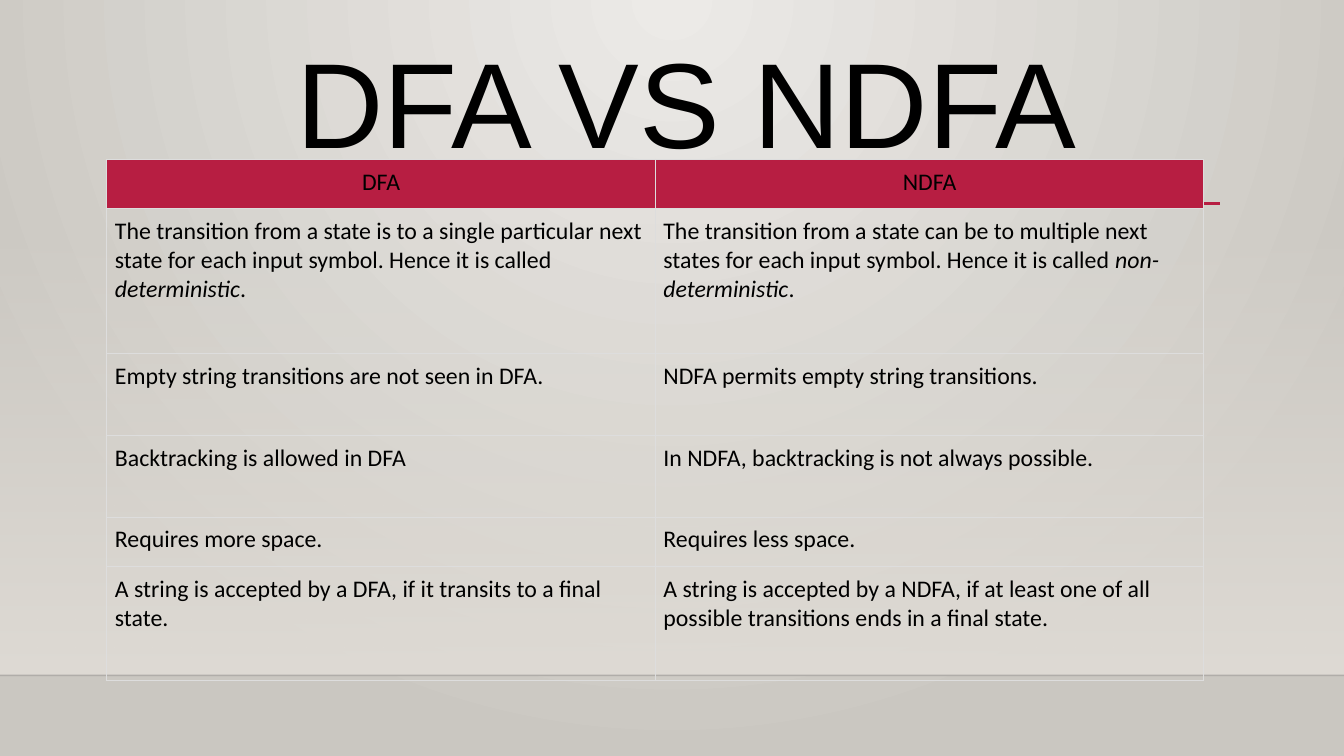
from lxml import etree
from pptx import Presentation
from pptx.dml.color import RGBColor
from pptx.enum.shapes import MSO_CONNECTOR as Conn, MSO_SHAPE as Shape
from pptx.enum.text import MSO_ANCHOR as Anchor, MSO_AUTO_SIZE as Auto, PP_ALIGN as Align
from pptx.oxml import parse_xml
from pptx.oxml.ns import qn
from pptx.util import Inches, Pt

# Content: each cell is a list of (text, italic) runs
TITLE = "DFA VS NDFA"
HEAD = ["DFA", "NDFA"]
ROWS = [
    ([("The transition from a state is to a single particular next state for each "
       "input symbol. Hence it is called ", False), ("deterministic", True), (".", False)],
     [("The transition from a state can be to multiple next states for each "
       "input symbol. Hence it is called ", False), ("non-deterministic", True), (".", False)]),
    ([("Empty string transitions are not seen in DFA.", False)],
     [("NDFA permits empty string transitions.", False)]),
    ([("Backtracking is allowed in DFA", False)],
     [("In NDFA, backtracking is not always possible.", False)]),
    ([("Requires more space.", False)],
     [("Requires less space.", False)]),
    ([("A string is accepted by a DFA, if it transits to a final state.", False)],
     [("A string is accepted by a NDFA, if at least one of all possible transitions "
       "ends in a final state.", False)]),
]
HIGH = [0.49, 1.44, 0.81, 0.81, 0.49, 1.13]

# Measures and colours
WIDE, TALL = 13.33, 7.5
LEFT, TOP, COL, PAD = 1.06, 1.58, 5.44, 0.08
FLOOR, WALL, RULE = 6.7, 2.21, 2.02
BLACK = RGBColor(0, 0, 0)
RED = RGBColor(0xB7, 0x1E, 0x42)
LIGHT = RGBColor(0xEC, 0xEA, 0xE7)
DARK = RGBColor(0xCA, 0xC7, 0xC1)
SAND = RGBColor(0xDF, 0xDB, 0xD5)
EDGE = RGBColor(0xDD, 0xDD, 0xDD)
NS = 'xmlns:a="http://schemas.openxmlformats.org/drawingml/2006/main"'


def write(frame, runs, size=17, font="Calibri", align=Align.LEFT, lead=1.0):
    par = frame.paragraphs[0]
    par.alignment, par.line_spacing = align, lead
    for text, slant in runs:
        run = par.add_run()
        run.text = text
        run.font.size, run.font.name = Pt(size), font
        run.font.italic, run.font.bold = slant, False
        run.font.color.rgb = BLACK


def blend(fill, first, last, root, shape):
    """Two-stop gradient whose direction is the given XML."""
    fill.gradient()
    for stop, tone in zip(fill.gradient_stops, (first, last)):
        stop.color.rgb = tone
    grad = next(root.iter(qn("a:gradFill")))
    for old in grad.findall(qn("a:lin")):
        grad.remove(old)
    grad.find(qn("a:gsLst")).addnext(parse_xml(shape))
    return grad


def fade(node, share):
    tone = next(node.iter(qn("a:srgbClr")))
    etree.SubElement(tone, qn("a:alpha")).set("val", str(share * 1000))


def rule(x1, x2, y, tone, width):
    line = slide.shapes.add_connector(
        Conn.STRAIGHT, Inches(x1), Inches(y), Inches(x2), Inches(y))
    line.line.color.rgb, line.line.width = tone, Pt(width)
    etree.SubElement(line._element.spPr, qn("a:effectLst"))
    return line


def border(cell):
    props = cell._tc.get_or_add_tcPr()
    for side in "LRTB":
        props.append(parse_xml(
            f'<a:ln{side} {NS} w="{Pt(0.75)}"><a:solidFill><a:srgbClr val="{EDGE}"/>'
            f'</a:solidFill></a:ln{side}>'))


deck = Presentation()
deck.slide_width, deck.slide_height = Inches(WIDE), Inches(TALL)
slide = deck.slides.add_slide(deck.slide_layouts[5])

# Backdrop: glow from the top centre, wall fading in, floor edge
back = slide.background
blend(back.fill, LIGHT, DARK, slide._element,
      f'<a:path {NS} path="circle"><a:fillToRect l="43000" t="0" r="43000" b="100000"/></a:path>')
wall = slide.shapes.add_shape(
    Shape.RECTANGLE, 0, Inches(WALL), Inches(WIDE), Inches(FLOOR - WALL))
wall.shadow.inherit = False
wall.line.fill.background()
grad = blend(wall.fill, SAND, SAND, wall._element, f'<a:lin {NS} ang="5400000" scaled="0"/>')
fade(grad, 0)
edge = rule(0, WIDE, FLOOR, RGBColor(0, 0, 1), 1)
fade(edge._element.spPr, 20)
rule(1.59, 12.1, RULE, RED, 2.5)

# Title
title = slide.shapes.title
title.left, title.top = Inches(1.56), Inches(0.3)
title.width, title.height = Inches(10.5), Inches(1.15)
frame = title.text_frame
frame.word_wrap, frame.auto_size = True, Auto.NONE
frame.vertical_anchor, frame.margin_top = Anchor.TOP, Inches(0.14)
write(frame, [(TITLE, False)], size=86.4, font="Arial", align=Align.CENTER, lead=0.9)

# Comparison table
grid = [[[(name, False)] for name in HEAD]] + ROWS
table = slide.shapes.add_table(
    len(grid), len(HEAD), Inches(LEFT), Inches(TOP),
    Inches(COL * len(HEAD)), Inches(sum(HIGH))).table
table.first_row = table.horz_banding = False
for col in table.columns:
    col.width = Inches(COL)
for r, row in enumerate(grid):
    table.rows[r].height = Inches(HIGH[r])
    for c, runs in enumerate(row):
        cell = table.cell(r, c)
        cell.margin_left = cell.margin_right = Inches(PAD)
        cell.margin_top = cell.margin_bottom = Inches(PAD)
        border(cell)
        if r:
            cell.fill.background()
        else:
            cell.fill.solid()
            cell.fill.fore_color.rgb = RED
        write(cell.text_frame, runs, align=Align.LEFT if r else Align.CENTER)

deck.save("out.pptx")
